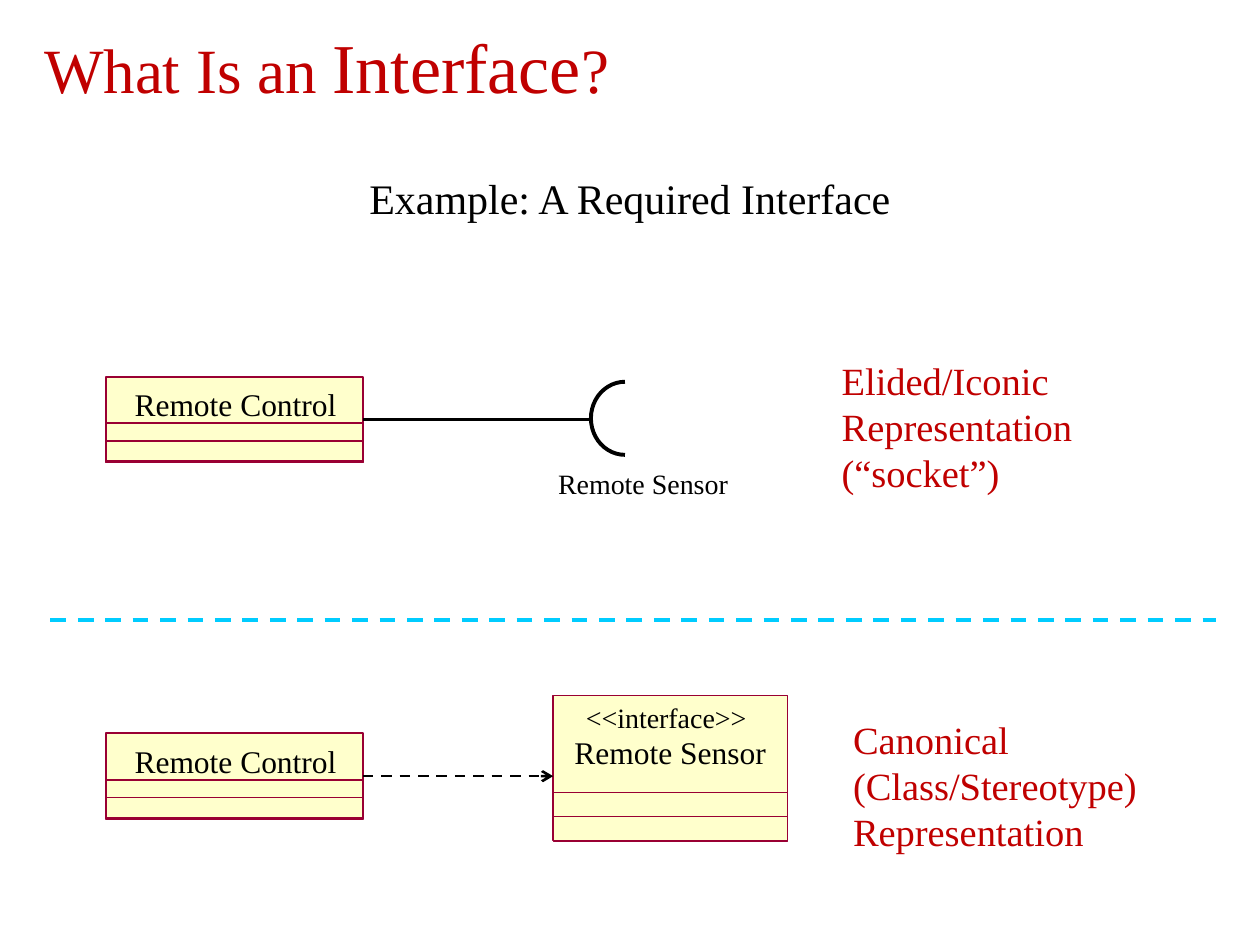
"""Build a slide showing two UML notations for a required interface."""
import pptx
import pptx.dml.color
import pptx.enum.dml
import pptx.enum.shapes
import pptx.enum.text
import pptx.oxml.xmlchemy
import pptx.util

THEME = {
    "font": "Times New Roman",
    "red": pptx.dml.color.RGBColor.from_string("C00000"),
    "black": pptx.dml.color.RGBColor.from_string("000000"),
    "cream": pptx.dml.color.RGBColor.from_string("FFFFCC"),
    "maroon": pptx.dml.color.RGBColor.from_string("990033"),
    "cyan": pptx.dml.color.RGBColor.from_string("00CCFF"),
    "title": 36, "keyword": 40, "subtitle": 24,
    "caption": 22, "class": 18, "label": 16,
}
COLUMNS = 100
LEFT = pptx.enum.text.PP_ALIGN.LEFT
CENTER = pptx.enum.text.PP_ALIGN.CENTER
DASH = pptx.enum.dml.MSO_LINE.DASH

deck = pptx.Presentation()
deck.slide_width = pptx.util.Inches(10)
deck.slide_height = pptx.util.Inches(7.5)
cell = deck.slide_width // COLUMNS
slide = deck.slides.add_slide(deck.slide_layouts[5])


def write(box, runs, color, align=LEFT, inset=(0, 0), wrap=True, middle=False):
    frame = box.text_frame
    frame.word_wrap = wrap
    frame.auto_size = (pptx.enum.text.MSO_AUTO_SIZE.NONE if middle
                       else pptx.enum.text.MSO_AUTO_SIZE.SHAPE_TO_FIT_TEXT)
    frame.vertical_anchor = (pptx.enum.text.MSO_ANCHOR.MIDDLE if middle
                             else pptx.enum.text.MSO_ANCHOR.TOP)
    frame.margin_left = frame.margin_right = int(inset[0] * cell)
    frame.margin_top = frame.margin_bottom = int(inset[1] * cell)
    paragraph = frame.paragraphs[0]
    paragraph.alignment = align
    for wording, size in runs:
        if wording == "\n":
            paragraph.add_line_break()
            continue
        run = paragraph.add_run()
        run.text = wording
        run.font.name = THEME["font"]
        run.font.size = pptx.util.Pt(THEME[size])
        run.font.color.rgb = color


def outline(shapes, kind, bounds, color, weight, fill=None):
    shape = shapes.add_shape(kind, *[int(n * cell) for n in bounds])
    shape.shadow.inherit = False
    shape.line.color.rgb = color
    shape.line.width = pptx.util.Pt(weight)
    if fill is None:
        shape.fill.background()
    else:
        shape.fill.solid()
        shape.fill.fore_color.rgb = fill
    return shape


title = slide.shapes.title
title.left, title.top, title.width, title.height = [
    int(n * cell) for n in (2.5, 0.2, 95, 10)]
write(title, [("What Is an ", "title"), ("Interface", "keyword"), ("?", "title")],
      THEME["red"], inset=(1, 0.5), middle=True)

subtitle = slide.shapes.add_textbox(*[int(n * cell) for n in (0.8, 12.8, 98.4, 5.8)])
write(subtitle, [("Example: A Required Interface", "subtitle")],
      THEME["black"], CENTER, (1, 0.5), middle=True)

RECTANGLE = pptx.enum.shapes.MSO_SHAPE.RECTANGLE
controls = []
for top in (29.9, 58.2):
    control = slide.shapes.add_group_shape()
    body = outline(control.shapes, RECTANGLE, (8.4, top, 20.4, 6.8),
                   THEME["maroon"], 1, THEME["cream"])
    for drop, height in ((3.7, 3), (5.1, 1.7)):
        outline(control.shapes, RECTANGLE, (8.4, top + drop, 20.4, height),
                THEME["maroon"], 1)
    name = control.shapes.add_textbox(
        *[int(n * cell) for n in (9.3, top + 0.7, 18.8, 3)])
    write(name, [("Remote Control", "class")], THEME["black"], CENTER)
    controls.append(body)

socket = outline(slide.shapes, pptx.enum.shapes.MSO_SHAPE.ARC,
                 (46.9, 30.3, 5.4, 5.8), THEME["black"], 2.25)
socket.adjustments[0] = 90 * 0.6
socket.adjustments[1] = 270 * 0.6

outline(slide.shapes, RECTANGLE, (43.9, 55.2, 18.6, 11.5),
        THEME["maroon"], 0, THEME["cream"])
outline(slide.shapes, RECTANGLE, (43.9, 62.9, 18.6, 3.9), THEME["maroon"], 0.25)

links = (
    ((4, 49.2, 96.5, 49.2), "cyan", 2.25, DASH, None, False),
    ((28.8, 33.3, 47, 33.3), "black", 1.5, None, controls[0], False),
    ((43.9, 64.8, 62.5, 64.8), "maroon", 0.25, None, None, False),
    ((28.8, 61.6, 43.9, 61.6), "black", 1.5, DASH, controls[1], True),
)
for ends, color, weight, dash, source, arrow in links:
    link = slide.shapes.add_connector(
        pptx.enum.shapes.MSO_CONNECTOR.STRAIGHT, *[int(n * cell) for n in ends])
    link.line.color.rgb = THEME[color]
    link.line.width = pptx.util.Pt(weight)
    if dash is not None:
        link.line.dash_style = dash
    if source is not None:
        link.begin_connect(source, 3)
    properties = link._element.spPr
    if arrow:
        head = pptx.oxml.xmlchemy.OxmlElement("a:tailEnd")
        head.set("type", "arrow")
        properties.ln.append(head)
    properties.append(pptx.oxml.xmlchemy.OxmlElement("a:effectLst"))

labels = (
    ((44.3, 37, 15.4, 2.7), "Remote Sensor", "label", LEFT),
    ((44.5, 58.2, 17.4, 3), "Remote Sensor", "class", CENTER),
    ((46.5, 55.6, 13.7, 2.7), "<<interface>>", "label", LEFT),
)
for bounds, wording, size, align in labels:
    label = slide.shapes.add_textbox(*[int(n * cell) for n in bounds])
    write(label, [(wording, size)], THEME["black"], align, wrap=False)

captions = (
    ((65.6, 27.7, 25.8, 12.3),
     ("Elided/Iconic Representation", "\n", "(“socket”)")),
    ((66.5, 56.2, 28.8, 12.3), ("Canonical (Class/Stereotype) Representation",)),
)
for bounds, wordings in captions:
    caption = slide.shapes.add_textbox(*[int(n * cell) for n in bounds])
    write(caption, [(wording, "caption") for wording in wordings],
          THEME["red"], inset=(1.2, 0.6))

deck.save("out.pptx")
